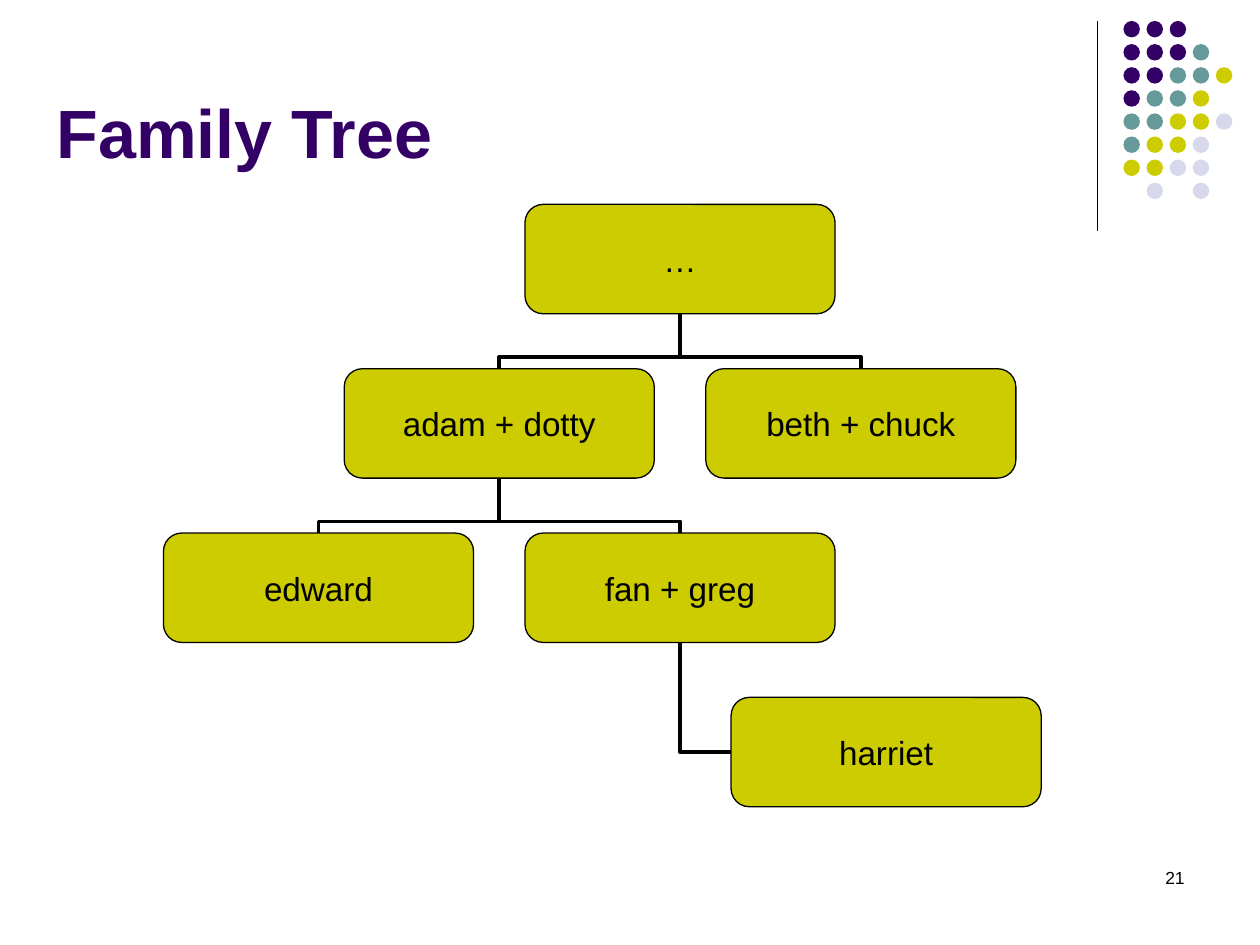
"""Build a family tree slide with a dotted corner ornament."""
from dataclasses import dataclass

from lxml.etree import SubElement
from pptx import Presentation
from pptx.dml.color import RGBColor
from pptx.enum.shapes import MSO_CONNECTOR, MSO_SHAPE
from pptx.enum.text import MSO_ANCHOR, MSO_AUTO_SIZE, PP_ALIGN
from pptx.oxml.ns import qn
from pptx.util import Pt


@dataclass(frozen=True)
class Theme:
    """Colours, font and type sizes of the slide."""

    black: RGBColor = RGBColor(0x00, 0x00, 0x00)
    purple: RGBColor = RGBColor(0x33, 0x00, 0x66)
    teal: RGBColor = RGBColor(0x66, 0x99, 0x99)
    olive: RGBColor = RGBColor(0xCC, 0xCC, 0x00)
    lavender: RGBColor = RGBColor(0xD8, 0xD8, 0xEC)
    font: str = "Arial"
    title_size: int = 39
    box_size: int = 19
    number_size: int = 10


THEME = Theme()

DOT_COLORS = {"p": THEME.purple, "t": THEME.teal, "o": THEME.olive, "l": THEME.lavender}
DOT_ROWS = ("ppp", "pppt", "pptto", "ptto", "ttool", "tool", "ooll", ".l.l")
DOT_LEFT, DOT_TOP, DOT_STEP, DOT_SIZE = 642, 12, 13.2, 9.4

TREE_LEFT, TREE_TOP, COLUMN_STEP, ROW_STEP = 93.4, 116.8, 103.3, 93.9
BOX_WIDTH, BOX_HEIGHT = 177.2, 62.5
MEMBERS = (
    ("…", 2, 0),
    ("adam + dotty", 1, 1),
    ("beth + chuck", 3, 1),
    ("edward", 0, 2),
    ("fan + greg", 2, 2),
    ("harriet", 3.14, 3),
)
BRANCHES = (
    ("adam + dotty", "…"),
    ("beth + chuck", "…"),
    ("edward", "adam + dotty"),
    ("fan + greg", "adam + dotty"),
)


def write_text(frame, text, size, alignment, color=THEME.black, bold=False):
    """Write one formatted run into the first paragraph of a frame."""
    paragraph = frame.paragraphs[0]
    paragraph.alignment = alignment
    run = paragraph.add_run()
    run.text = text
    run.font.name = THEME.font
    run.font.size = Pt(size)
    run.font.bold = bold
    run.font.color.rgb = color


def add_title(slide, text):
    """Place and format the title placeholder."""
    title = slide.shapes.title
    title.left, title.top, title.width, title.height = Pt(25.2), Pt(0), Pt(594), Pt(102)
    frame = title.text_frame
    frame.auto_size = MSO_AUTO_SIZE.NONE
    frame.vertical_anchor = MSO_ANCHOR.BOTTOM
    write_text(frame, text, THEME.title_size, PP_ALIGN.LEFT, THEME.purple, True)


def add_page_number(slide, text):
    """Add the page number at the lower right."""
    box = slide.shapes.add_textbox(Pt(516), Pt(492), Pt(168), Pt(36))
    box.text_frame.word_wrap = True
    write_text(box.text_frame, text, THEME.number_size, PP_ALIGN.RIGHT)


def add_line(slide, kind, start, end, width):
    """Add a black connector without a shadow."""
    connector = slide.shapes.add_connector(kind, *map(Pt, (*start, *end)))
    connector.line.color.rgb = THEME.black
    connector.line.width = Pt(width)
    SubElement(connector._element.spPr, qn("a:effectLst"))
    return connector


def add_dots(slide):
    """Add the grid of coloured dots."""
    for row, letters in enumerate(DOT_ROWS):
        for column, letter in enumerate(letters):
            if letter not in DOT_COLORS:
                continue
            left, top = DOT_LEFT + column * DOT_STEP, DOT_TOP + row * DOT_STEP
            dot = slide.shapes.add_shape(
                MSO_SHAPE.OVAL, Pt(left), Pt(top), Pt(DOT_SIZE), Pt(DOT_SIZE)
            )
            dot.shadow.inherit = False
            dot.fill.solid()
            dot.fill.fore_color.rgb = DOT_COLORS[letter]
            dot.line.fill.background()


def add_member(slide, name, column, row):
    """Add one rounded box of the tree."""
    left, top = TREE_LEFT + column * COLUMN_STEP, TREE_TOP + row * ROW_STEP
    box = slide.shapes.add_shape(
        MSO_SHAPE.ROUNDED_RECTANGLE, Pt(left), Pt(top), Pt(BOX_WIDTH), Pt(BOX_HEIGHT)
    )
    box.shadow.inherit = False
    box.fill.solid()
    box.fill.fore_color.rgb = THEME.olive
    box.line.color.rgb = THEME.black
    box.line.width = Pt(0.75)
    frame = box.text_frame
    frame.margin_left = frame.margin_right = frame.margin_top = frame.margin_bottom = 0
    frame.word_wrap = False
    frame.vertical_anchor = MSO_ANCHOR.MIDDLE
    write_text(frame, name, THEME.box_size, PP_ALIGN.CENTER)
    return box


def add_elbow(slide, child, child_side, parent):
    """Join a child box to the bottom of its parent with an elbow."""
    connector = add_line(slide, MSO_CONNECTOR.ELBOW, (0, 0), (0, 0), 2.25)
    connector.begin_connect(child, child_side)
    connector.end_connect(parent, 2)
    return connector


def orient(connector, degrees, flip_horizontal, flip_vertical):
    """Set the rotation and flips of a connector."""
    frame = connector._element.spPr.find(qn("a:xfrm"))
    frame.set("rot", str(degrees * 60000))
    frame.set("flipH", str(int(flip_horizontal)))
    frame.set("flipV", str(int(flip_vertical)))


def add_branch(slide, child, parent):
    """Link the top of a child to its parent with a three-part elbow."""
    connector = add_elbow(slide, child, 0, parent)
    child_x = child.left + child.width // 2
    parent_x = parent.left + parent.width // 2
    parent_y = parent.top + parent.height
    rise, spread = child.top - parent_y, abs(child_x - parent_x)
    connector.left = (child_x + parent_x - rise) // 2
    connector.top = (child.top + parent_y - spread) // 2
    connector.width, connector.height = rise, spread
    on_left = child_x < parent_x
    orient(connector, 90 if on_left else 270, on_left, True)
    adjustments = connector._element.spPr.find(qn("a:prstGeom")).find(qn("a:avLst"))
    SubElement(adjustments, qn("a:gd"), name="adj1", fmla="val 21000")


def add_side_branch(slide, child, parent):
    """Link the left side of a child to its parent with a single corner."""
    connector = add_elbow(slide, child, 1, parent)
    connector.left = parent.left + parent.width // 2
    connector.top = parent.top + parent.height
    connector.width = child.left - connector.left
    connector.height = child.top + child.height // 2 - connector.top
    orient(connector, 180, False, False)
    connector._element.spPr.find(qn("a:prstGeom")).set("prst", "bentConnector2")


def main():
    """Build and save the slide."""
    presentation = Presentation()
    presentation.slide_width, presentation.slide_height = Pt(720), Pt(540)
    slide = presentation.slides.add_slide(presentation.slide_layouts[5])
    add_line(slide, MSO_CONNECTOR.STRAIGHT, (627, 12), (627, 132), 0.75)
    add_dots(slide)
    add_page_number(slide, "21")
    add_title(slide, "Family Tree")
    boxes = {name: add_member(slide, name, column, row) for name, column, row in MEMBERS}
    for child, parent in BRANCHES:
        add_branch(slide, boxes[child], boxes[parent])
    add_side_branch(slide, boxes["harriet"], boxes["fan + greg"])
    presentation.save("out.pptx")


if __name__ == "__main__":
    main()
